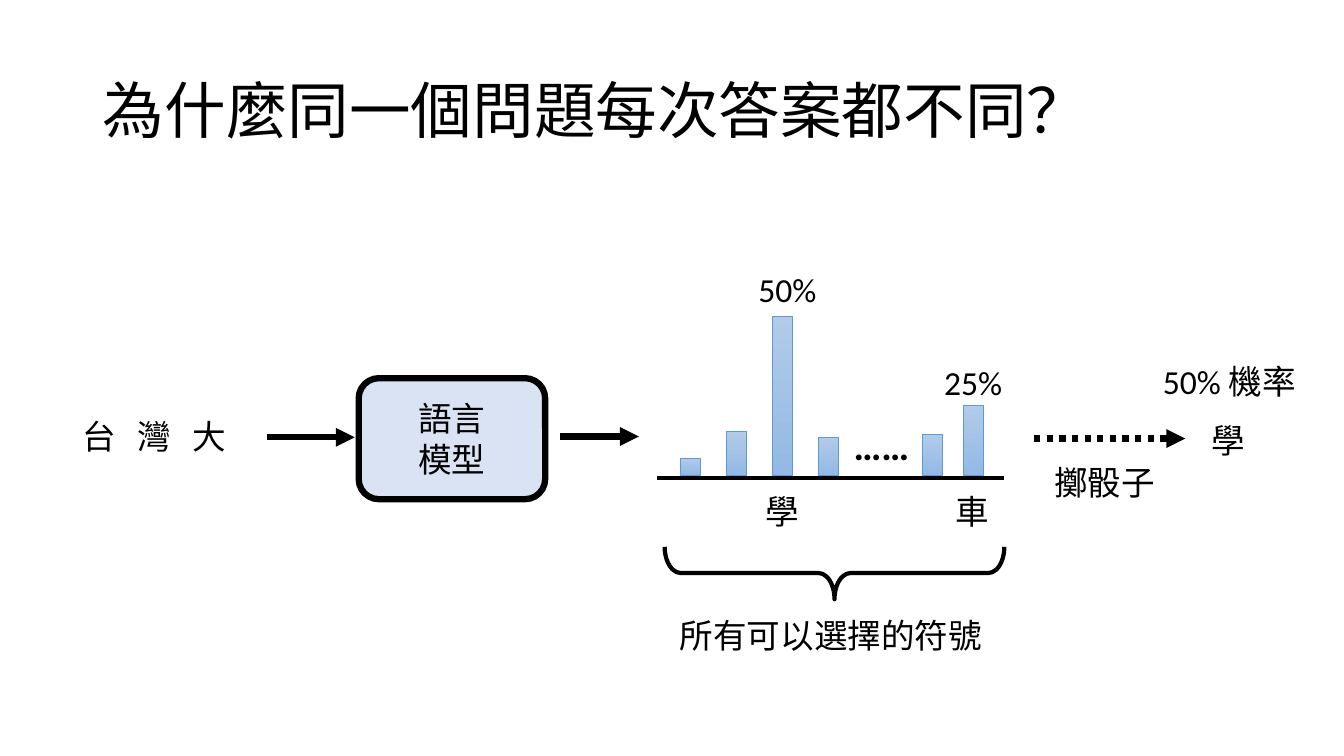
from lxml import etree
from pptx import Presentation
from pptx import util as u
from pptx.dml.color import RGBColor
from pptx.enum import dml, shapes, text
from pptx.oxml import ns

COLORS = {
    "ink": "000000",
    "model": "DAE3F3",
    "bar_top": "B1CBE9",
    "bar_bottom": "93B9E4",
    "bar_edge": "5B9BD5",
}
CJK = "Noto Sans CJK SC"
LATIN = "Calibri"


def rgb(name):
    """Return the named colour."""
    return RGBColor.from_string(COLORS[name])


class SlideBuilder:
    """Holds the style and the current slide."""

    def __init__(self, prs):
        self.slide = prs.slides.add_slide(prs.slide_layouts[5])
        self.shapes = self.slide.shapes

    def style_run(self, r, font=CJK, size=24, bold=False):
        """Format one run, for Latin and East Asian text alike."""
        r.font.name, r.font.size, r.font.bold = font, u.Pt(size), bold
        r.font.color.rgb = rgb("ink")
        ea = etree.SubElement(r.font._element, ns.qn("a:ea"))
        ea.set("typeface", font)

    def title(self, words, x, y, w, h):
        """Place and format the title placeholder."""
        sp = self.shapes.title
        sp.left, sp.top, sp.width, sp.height = map(u.Cm, (x, y, w, h))
        tf = sp.text_frame
        tf.text, tf.word_wrap = words, True
        tf.vertical_anchor = text.MSO_ANCHOR.MIDDLE
        p = tf.paragraphs[0]
        p.alignment, p.line_spacing = text.PP_ALIGN.LEFT, 0.9
        self.style_run(p.runs[0], size=44)

    def label(self, runs, x, y, w, h=1.27, size=24, bold=False, spacing=0):
        """Add centred text from (words, font) pairs."""
        tf = self.shapes.add_textbox(*map(u.Cm, (x, y, w, h))).text_frame
        tf.word_wrap = True
        p = tf.paragraphs[0]
        p.alignment = text.PP_ALIGN.CENTER
        for words, font in runs:
            r = p.add_run()
            r.text = words
            self.style_run(r, font, size, bold)
            if spacing:
                r.font._element.set("spc", str(spacing))

    def shape(self, kind, x, y, w, h, edge="ink", width=3.0):
        """Add an unfilled, outlined preset shape."""
        sp = self.shapes.add_shape(kind, *map(u.Cm, (x, y, w, h)))
        sp.shadow.inherit = False
        sp.fill.background()
        sp.line.color.rgb, sp.line.width = rgb(edge), u.Pt(width)
        return sp

    def model(self, words, x, y, w, h):
        """Add the rounded model box."""
        sp = self.shape(shapes.MSO_SHAPE.ROUNDED_RECTANGLE, x, y, w, h, width=4.5)
        sp.fill.solid()
        sp.fill.fore_color.rgb = rgb("model")
        tf = sp.text_frame
        tf.text, tf.vertical_anchor = words, text.MSO_ANCHOR.MIDDLE
        for p in tf.paragraphs:
            p.alignment = text.PP_ALIGN.CENTER
            self.style_run(p.runs[0])

    def bar(self, x, base, h):
        """Add a gradient bar standing on the base line."""
        sp = self.shape(shapes.MSO_SHAPE.RECTANGLE, x, base - h, 0.51, h, "bar_edge", 0.5)
        sp.fill.gradient()
        sp.fill.gradient_angle = 270
        for stop, name in zip(sp.fill.gradient_stops, ("bar_top", "bar_bottom")):
            stop.color.rgb = rgb(name)

    def brace(self, x, y, w, h):
        """Add a right brace turned to point down."""
        sp = self.shape(shapes.MSO_SHAPE.RIGHT_BRACE, x, y, w, h)
        sp.rotation = 90
        sp.adjustments[0] = 0.305

    def line(self, x1, x2, y, width=4.5, arrow=True, dotted=False):
        """Add a horizontal line or arrow."""
        cn = self.shapes.add_connector(
            shapes.MSO_CONNECTOR.STRAIGHT, *map(u.Cm, (x1, y, x2, y)))
        cn.line.color.rgb, cn.line.width = rgb("ink"), u.Pt(width)
        if dotted:
            cn.line.dash_style = dml.MSO_LINE.ROUND_DOT
        if arrow:
            tail = etree.SubElement(cn.line._get_or_add_ln(), ns.qn("a:tailEnd"))
            tail.set("type", "triangle")
        etree.SubElement(cn._element.spPr, ns.qn("a:effectLst"))


def main():
    """Build and save the slide."""
    prs = Presentation()
    prs.slide_width, prs.slide_height = u.Cm(33.87), u.Cm(19.05)
    s = SlideBuilder(prs)
    s.title("為什麼同一個問題每次答案都不同？", 2.34, 1.02, 29.21, 3.68)

    s.label([("台 灣 大", CJK)], 0.71, 10.36, 6.35, spacing=495)
    s.line(6.73, 8.94, 11.02)
    s.model("語言\n模型", 9.04, 9.53, 4.7, 3.05)
    s.line(14.12, 16.1, 11)

    first, pitch, base = 17.15, 1.16, 11.97
    bars = [(first + i * pitch, h) for i, h in enumerate((0.41, 1.09, 3.99, 0.94))]
    for x, h in bars + [(23.24, 1.02), (24.28, 1.75)]:
        s.bar(x, base, h)
    s.line(16.56, 25.3, 12.04, width=3, arrow=False)
    s.label([("……", LATIN)], 19.94, 10.49, 4.55, 1.45, size=28, bold=True)
    s.label([("50%", LATIN)], 18.31, 6.65, 3.07)
    s.label([("25%", LATIN)], 22.99, 8.99, 3.07)
    s.label([("學", CJK)], 17.81, 12.24, 3.81)
    s.label([("車", CJK)], 22.61, 12.24, 3.81)
    s.brace(20.37, 10.16, 1.32, 8.56)
    s.label([("所有可以選擇的符號", CJK)], 16.81, 15.37, 8.26)

    s.line(26.06, 29.87, 11.05, dotted=True)
    s.label([("擲骰子", CJK)], 25.93, 11.51, 3.81)
    s.label([("學", CJK)], 29.06, 10.46, 3.81)
    s.label([("50% ", LATIN), ("機率", CJK)], 28.07, 8.97, 5.82)
    prs.save("out.pptx")


if __name__ == "__main__":
    main()
